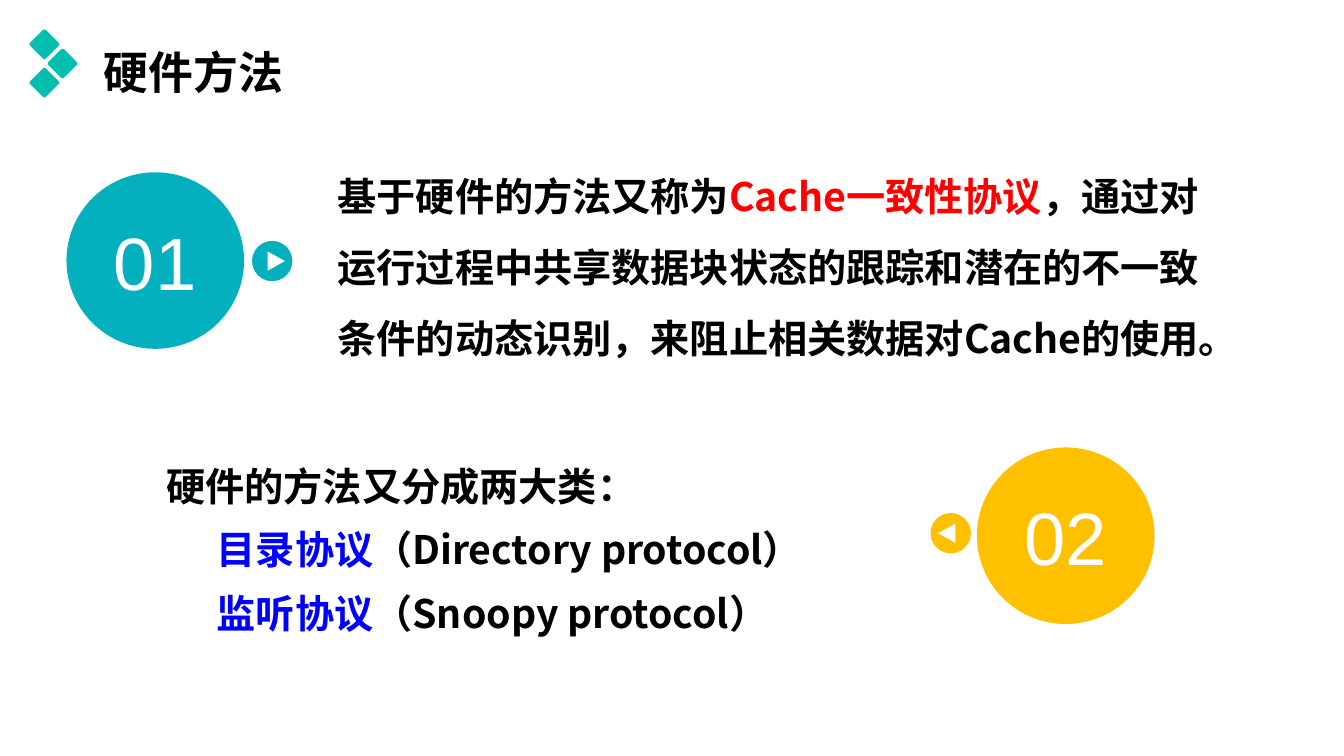
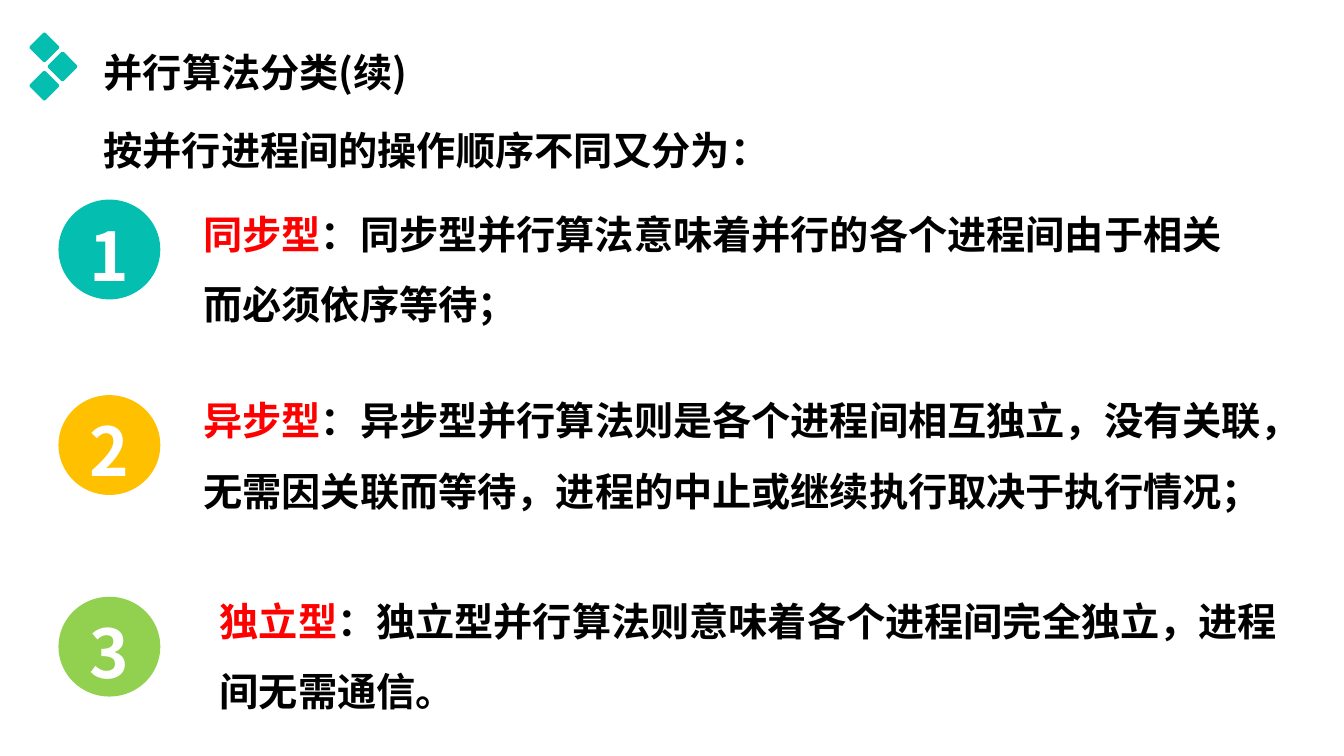
"""Build two slides on cache coherence hardware and parallel algorithm types."""
from lxml.etree import SubElement
from pptx import Presentation
from pptx.dml.color import RGBColor
from pptx.enum.shapes import MSO_SHAPE as Shape
from pptx.enum.text import MSO_ANCHOR as Anchor, MSO_AUTO_SIZE as AutoSize, PP_ALIGN as Align
from pptx.oxml.ns import qn
from pptx.util import Inches, Pt

BLACK = RGBColor(0x00, 0x00, 0x00)
WHITE = RGBColor(0xFF, 0xFF, 0xFF)
RED = RGBColor(0xFF, 0x00, 0x00)
BLUE = RGBColor(0x00, 0x00, 0xFF)
TEAL = RGBColor(0x04, 0xBE, 0xB0)
CYAN = RGBColor(0x04, 0xB0, 0xBE)
AMBER = RGBColor(0xFF, 0xC0, 0x00)
GREEN = RGBColor(0x92, 0xD0, 0x50)
CJK = "Noto Sans CJK SC"

HARDWARE = {
    "title": "硬件方法",
    "intro": [[("基于硬件的方法又称为", BLACK), ("Cache一致性协议", RED),
               ("，通过对运行过程中共享数据块状态的跟踪和潜在的不一致条件的动态识别，"
                "来阻止相关数据对Cache的使用。", BLACK)]],
    "kinds": [[("硬件的方法又分成两大类：", BLACK)],
              [("目录协议", BLUE), ("（Directory protocol）", BLACK)],
              [("监听协议", BLUE), ("（Snoopy protocol）", BLACK)]],
    "discs": [("01", CYAN, 0.68, 1.73, 2.7, 2.59, 1),
              ("02", AMBER, 9.71, 4.46, 9.43, 5.29, -1)],
}
ALGORITHMS = {
    "title": "并行算法分类(续)",
    "lead": [[("按并行进程间的操作顺序不同又分为：", BLACK)]],
    "types": [
        ("同步型", "：同步型并行算法意味着并行的各个进程间由于相关而必须依序等待；",
         TEAL, 1.98, (1.92, 1.8, 10.5, 1.51)),
        ("异步型", "：异步型并行算法则是各个进程间相互独立，没有关联，"
         "无需因关联而等待，进程的中止或继续执行取决于执行情况；",
         AMBER, 3.92, (1.92, 3.65, 10.81, 1.51)),
        ("独立型", "：独立型并行算法则意味着各个进程间完全独立，进程间无需通信。",
         GREEN, 5.92, (2.08, 5.64, 10.69, 1.51)),
    ],
}


def place(box, area):
    for side, value in zip(("left", "top", "width", "height"), area):
        setattr(box, side, Inches(value))


def write(box, lines, size=28, font=CJK, bold=True, spacing=1.5, gap=5, align=Align.LEFT):
    """Fill a box with lines of coloured spans; lines after the first are indented."""
    frame = box.text_frame
    frame.word_wrap = True
    frame.auto_size = AutoSize.NONE
    for index, line in enumerate(lines):
        para = frame.add_paragraph() if index else frame.paragraphs[0]
        props = para._p.get_or_add_pPr()
        props.set("marL", str(Inches(0.5) if index else 0))
        props.set("indent", "0")
        SubElement(props, qn("a:buNone"))
        para.level = 1 if index else 0
        para.alignment = align
        para.line_spacing = spacing
        para.space_before = Pt(gap if index else 0)
        for text, color in line:
            span = para.add_run()
            span.text = text
            for name, value in {"size": Pt(size), "name": font, "bold": bold}.items():
                setattr(span.font, name, value)
            span.font.color.rgb = color
            SubElement(span._r.get_or_add_rPr(), qn("a:ea")).set("typeface", font)


def add_text(page, area, lines, **style):
    box = page.shapes.add_textbox(*map(Inches, area))
    write(box, lines, **style)
    return box


def add_figure(page, kind, center_x, center_y, width, height, color, turn=0, outline=0):
    area = center_x - width / 2, center_y - height / 2, width, height
    figure = page.shapes.add_shape(kind, *map(Inches, area))
    figure.shadow.inherit = False
    figure.rotation = turn
    figure.fill.solid()
    figure.fill.fore_color.rgb = color
    if outline:
        figure.line.color.rgb = color
        figure.line.width = Pt(outline)
    else:
        figure.line.fill.background()
    return figure


def add_disc(page, area, number, color, drop=0, outline=0, **style):
    left, top, width, height = area
    add_figure(page, Shape.OVAL, left + width / 2, top + height / 2, width, height,
               color, outline=outline)
    box = add_text(page, (left, top + drop, width, height), [[(number, WHITE)]],
                   spacing=1, align=Align.CENTER, **style)
    frame = box.text_frame
    frame.vertical_anchor = Anchor.MIDDLE
    for side in ("left", "top", "right", "bottom"):
        setattr(frame, f"margin_{side}", 0)


def add_page(deck, title, title_height, mark_top, **style):
    page = deck.slides.add_slide(deck.slide_layouts[1])
    heading = page.shapes.title
    place(heading, (0.93, 0, 11.5, title_height))
    heading.text_frame.vertical_anchor = Anchor.MIDDLE
    write(heading, [[(title, BLACK)]], **style)
    for row in range(3):
        tile = add_figure(page, Shape.ROUNDED_RECTANGLE, 0.44 + row % 2 * 0.18,
                          mark_top + 0.15 + row * 0.19, 0.22, 0.22, TEAL, turn=45)
        tile.adjustments[0] = 0.1
    return page, page.placeholders[1]


def build_hardware(deck):
    page, body = add_page(deck, HARDWARE["title"], 1.31, 0.29, size=32, spacing=1.2)
    place(body, (1.55, 4.44, 7.5, 2.4))
    write(body, HARDWARE["kinds"], spacing=1.2)
    for number, color, left, top, badge_x, badge_y, way in HARDWARE["discs"]:
        add_disc(page, (left, top, 1.72, 1.71), number, color, outline=3,
                 size=53, font="Arial", bold=False)
        add_figure(page, Shape.OVAL, badge_x, badge_y, 0.4, 0.4, color)
        add_figure(page, Shape.ISOSCELES_TRIANGLE, badge_x + way * 0.04, badge_y,
                   0.19, 0.17, WHITE, turn=way * 90)
    add_text(page, (3.25, 1.43, 9, 2.22), HARDWARE["intro"])


def build_algorithms(deck):
    page, body = add_page(deck, ALGORITHMS["title"], 1.19, 0.32)
    add_text(page, (0.93, 0.97, 7, 0.81), ALGORITHMS["lead"])
    types = ALGORITHMS["types"]
    for number, (term, meaning, color, top, area) in enumerate(types, 1):
        add_disc(page, (0.58, top, 1.01, 0.99), str(number), color, drop=0.05, size=48)
        lines = [[(term, RED), (meaning, BLACK)]]
        if number == len(types):
            place(body, area)
            write(body, lines)
        else:
            add_text(page, area, lines)


def main():
    deck = Presentation()
    deck.slide_width, deck.slide_height = Inches(13.33), Inches(7.5)
    build_hardware(deck)
    build_algorithms(deck)
    deck.save("out.pptx")


if __name__ == "__main__":
    main()
